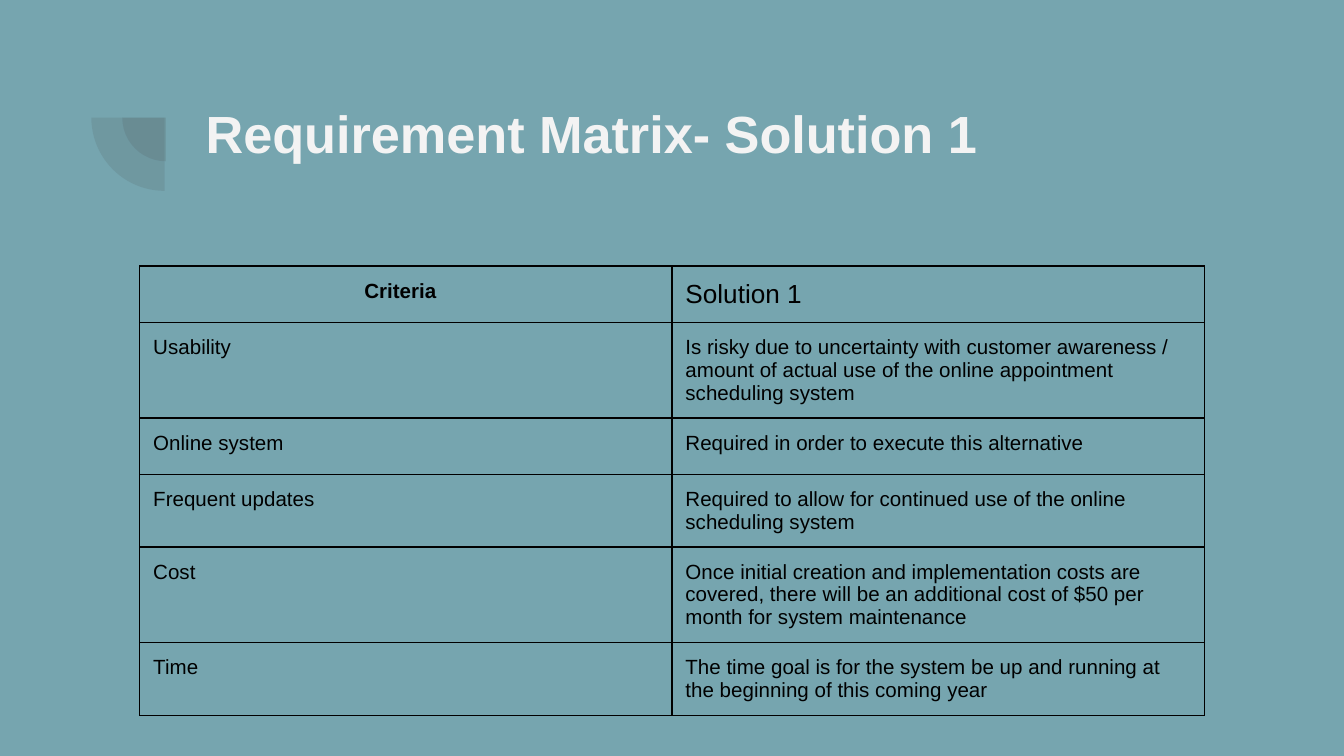
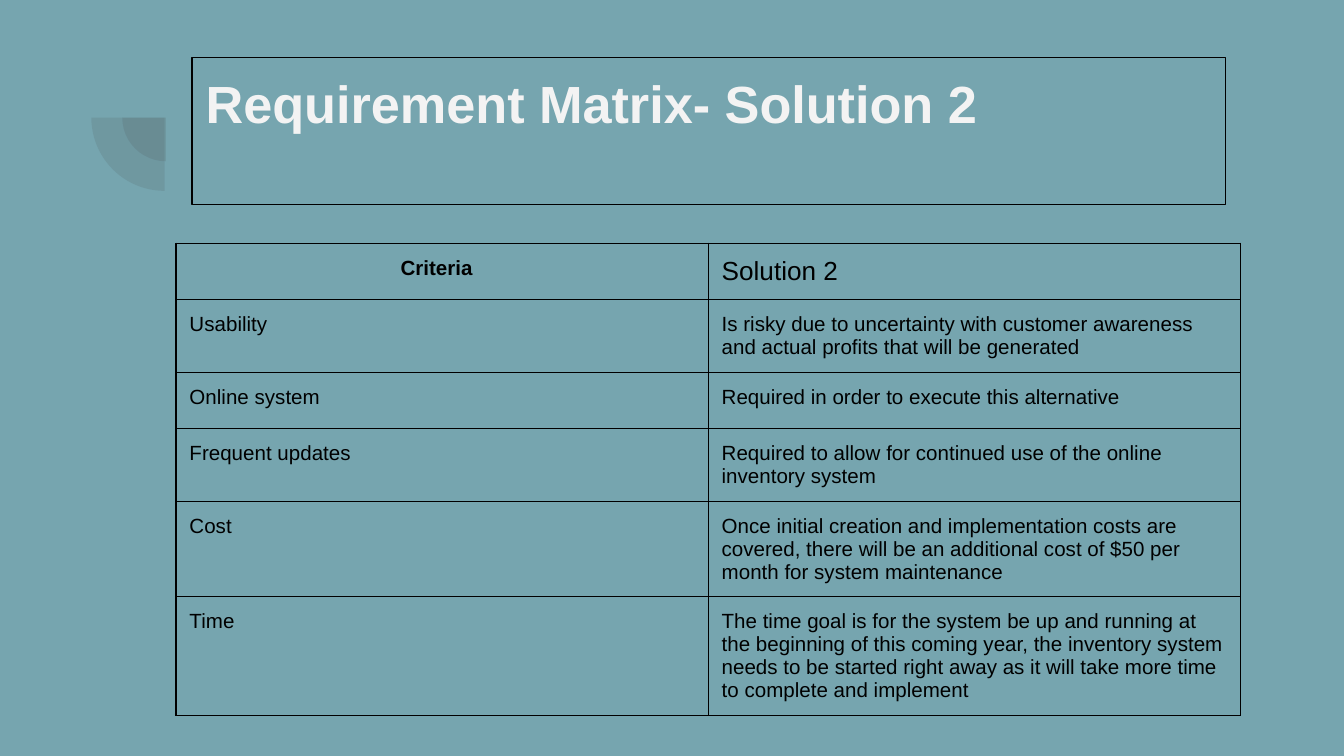
from lxml import etree
from pptx import Presentation
from pptx.dml.color import RGBColor
from pptx.enum import shapes, text
from pptx.oxml import ns
from pptx.util import Inches, Pt

COLORS = {"back": "76A5AF", "title": "F3F3F3", "ink": "000000", "pie": "424242"}
FONT = "Arial"
PIES = [(0.91, 0.55, 0.65), (0.68, 0.33, 1.09)]
CRITERIA = ["Usability", "Online system", "Frequent updates", "Cost", "Time"]
ONLINE = "Required in order to execute this alternative"
COST = ("Once initial creation and implementation costs are covered, there will be "
        "an additional cost of $50 per month for system maintenance")
SLIDES = [
    {"name": "Solution 1", "top": 0.65, "frame": False, "table": (1.04, 1.98),
     "notes": [
         "Is risky due to uncertainty with customer awareness / amount of actual use "
         "of the online appointment scheduling system",
         ONLINE,
         "Required to allow for continued use of the online scheduling system",
         COST,
         "The time goal is for the system be up and running at the beginning of this "
         "coming year"]},
    {"name": "Solution 2", "top": 0.43, "frame": True, "table": (1.31, 1.81),
     "notes": [
         "Is risky due to uncertainty with customer awareness and actual profits that "
         "will be generated",
         ONLINE,
         "Required to allow for continued use of the online inventory system",
         COST,
         "The time goal is for the system be up and running at the beginning of this "
         "coming year, the inventory system needs to be started right away as it will "
         "take more time to complete and implement"]},
]
COL, ROW, INSET, INDENT = 3.96, 0.42, 0.1, 1.57


def color(key):
    return RGBColor.from_string(COLORS[key])


def write(para, words, size, key, bold=False):
    run = para.add_run()
    run.text = words
    run.font.name, run.font.size, run.font.bold = FONT, Pt(size), bold
    run.font.color.rgb = color(key)


def pad(box):
    box.margin_left = box.margin_right = Inches(INSET)
    box.margin_top = box.margin_bottom = Inches(INSET)


def add_pies(slide, layout):
    group = slide.shapes.add_group_shape()
    for left, top, size in PIES:
        pie = group.shapes.add_shape(shapes.MSO_SHAPE.PIE, Inches(left), Inches(top),
                                     Inches(size), Inches(size))
        pie.adjustments[0], pie.adjustments[1] = 108, 162
        pie.rotation = 270
        pie.shadow.inherit = False
        pie.line.fill.background()
        pie.fill.solid()
        pie.fill.fore_color.rgb = color("pie")
        tint = pie.element.find(".//" + ns.qn("a:srgbClr"))
        etree.SubElement(tint, ns.qn("a:alpha"), val="13000")
    layout.shapes.element.append(group.element)


def add_title(slide, item):
    title = slide.shapes.title
    title.left, title.top = Inches(1.43), Inches(item["top"])
    title.width, title.height = Inches(7.69), Inches(1.09)
    frame = title.text_frame
    pad(frame)
    frame.word_wrap = True
    frame.auto_size = text.MSO_AUTO_SIZE.NONE
    frame.vertical_anchor = text.MSO_ANCHOR.TOP
    para = frame.paragraphs[0]
    para.alignment = text.PP_ALIGN.LEFT
    write(para, "Requirement Matrix- " + item["name"], 28, "title", True)
    if item["frame"]:
        title.line.color.rgb = color("ink")
        title.line.width = Pt(0.75)


def add_edges(cell):
    props = cell._tc.get_or_add_tcPr()
    for spot, side in enumerate(("lnL", "lnR", "lnT", "lnB")):
        edge = etree.Element(ns.qn("a:" + side), w=str(Pt(0.75)))
        fill = etree.SubElement(edge, ns.qn("a:solidFill"))
        etree.SubElement(fill, ns.qn("a:srgbClr"), val=COLORS["ink"])
        props.insert(spot, edge)


def add_matrix(slide, item):
    rows = [("Criteria", item["name"]), *zip(CRITERIA, item["notes"])]
    left, top = item["table"]
    table = slide.shapes.add_table(len(rows), 2, Inches(left), Inches(top),
                                   Inches(2 * COL), Inches(len(rows) * ROW)).table
    table.first_row = table.horz_banding = False
    for r, row in enumerate(rows):
        for c, words in enumerate(row):
            cell = table.cell(r, c)
            pad(cell)
            cell.fill.background()
            add_edges(cell)
            para = cell.text_frame.paragraphs[0]
            head = r == 0 and c == 0
            if head:
                para._p.get_or_add_pPr().set("marL", str(Inches(INDENT)))
            write(para, words, 14 if r == 0 and c == 1 else 11, "ink", head)


def main():
    deck = Presentation()
    deck.slide_width = Inches(10)
    deck.slide_height = Inches(10) * 9 // 16
    back = deck.slide_master.background.fill
    back.solid()
    back.fore_color.rgb = color("back")
    layout = deck.slide_layouts[5]
    for holder in list(layout.placeholders)[1:]:
        layout.shapes.element.remove(holder.element)
    for n, item in enumerate(SLIDES):
        slide = deck.slides.add_slide(layout)
        if n == 0:
            add_pies(slide, layout)
        add_title(slide, item)
        add_matrix(slide, item)
    deck.save("out.pptx")


if __name__ == "__main__":
    main()
